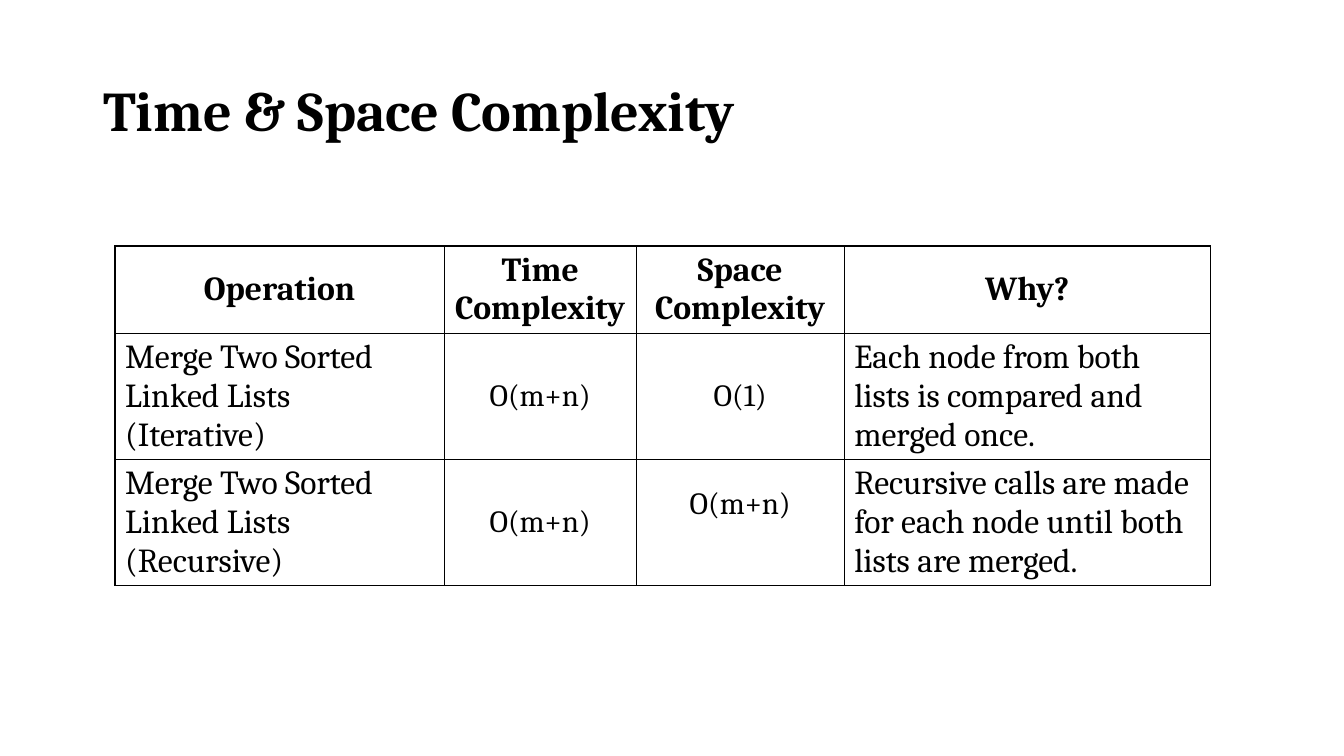
import pptx
import pptx.dml.color
import pptx.enum.text
import pptx.util
from lxml import etree

# Content
TITLE = "Time & Space Complexity"
ROWS = [
    ("Operation", "Time Complexity", "Space Complexity", "Why?"),
    ("Merge Two Sorted Linked Lists (Iterative)", "O(m+n)", "O(1)",
     "Each node from both lists is compared and merged once."),
    ("Merge Two Sorted Linked Lists (Recursive)", "O(m+n)", "O(m+n)",
     "Recursive calls are made for each node until both lists are merged."),
]

# Layout in px
TITLE_BOX = (93, 40, 1159, 146)
TABLE_LEFT, TABLE_TOP = 115, 246
COL_WIDTHS = (329, 192, 208, 366)
ROW_HEIGHTS = (87, 126, 126)
RAISED_CELL = (2, 2)
RAISED_MARGIN = 41

BLACK = pptx.dml.color.RGBColor(0, 0, 0)
FONT = "Cambria"
ALIGN = pptx.enum.text.PP_ALIGN
MIDDLE = pptx.enum.text.MSO_ANCHOR.MIDDLE
NS = "http://schemas.openxmlformats.org/drawingml/2006/main"


def px(n):
    return pptx.util.Emu(round(n * 914400 / 100.8))


def set_font(p, size, bold):
    p.font.name = FONT
    p.font.size = pptx.util.Pt(size)
    p.font.bold = bold
    p.font.color.rgb = BLACK


def add_borders(cell):
    tcPr = cell._tc.get_or_add_tcPr()
    for side in ("lnL", "lnR", "lnT", "lnB"):
        ln = etree.SubElement(tcPr, f"{{{NS}}}{side}", w=str(pptx.util.Pt(1)))
        fill = etree.SubElement(ln, f"{{{NS}}}solidFill")
        etree.SubElement(fill, f"{{{NS}}}srgbClr", val=str(BLACK))


prs = pptx.Presentation()
prs.slide_width = pptx.util.Inches(13.33)
prs.slide_height = pptx.util.Inches(7.5)
s = prs.slides.add_slide(prs.slide_layouts[5])

# Title
title = s.shapes.title
title.left, title.top, title.width, title.height = map(px, TITLE_BOX)
tf = title.text_frame
tf.text = TITLE
tf.vertical_anchor = MIDDLE
p = tf.paragraphs[0]
p.alignment = ALIGN.LEFT
p.line_spacing = 0.9
set_font(p, 40, True)

# Complexity table
table = s.shapes.add_table(
    len(ROWS), len(COL_WIDTHS), px(TABLE_LEFT), px(TABLE_TOP),
    px(sum(COL_WIDTHS)), px(sum(ROW_HEIGHTS))).table
table.first_row = table.horz_banding = False
for col, width in zip(table.columns, COL_WIDTHS):
    col.width = px(width)
for row, height in zip(table.rows, ROW_HEIGHTS):
    row.height = px(height)

for i, texts in enumerate(ROWS):
    for j, text in enumerate(texts):
        cell = table.cell(i, j)
        header, notation = i == 0, j in (1, 2)
        cell.text = text
        cell.vertical_anchor = MIDDLE
        add_borders(cell)
        cell.fill.background()
        p = cell.text_frame.paragraphs[0]
        p.alignment = ALIGN.CENTER if header or notation else ALIGN.LEFT
        set_font(p, 22 if notation and not header else 24, header)
table.cell(*RAISED_CELL).margin_bottom = px(RAISED_MARGIN)

prs.save("out.pptx")
